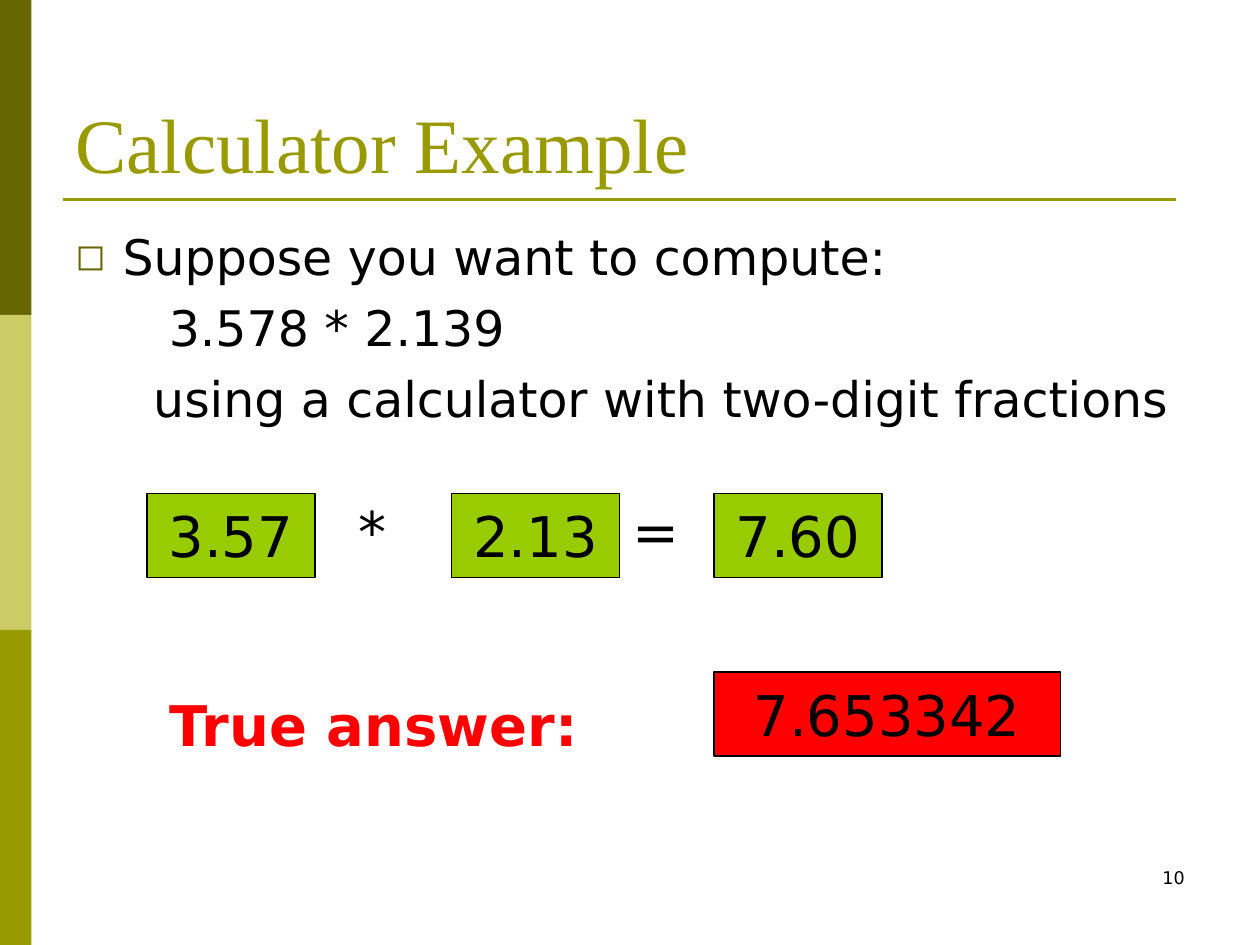
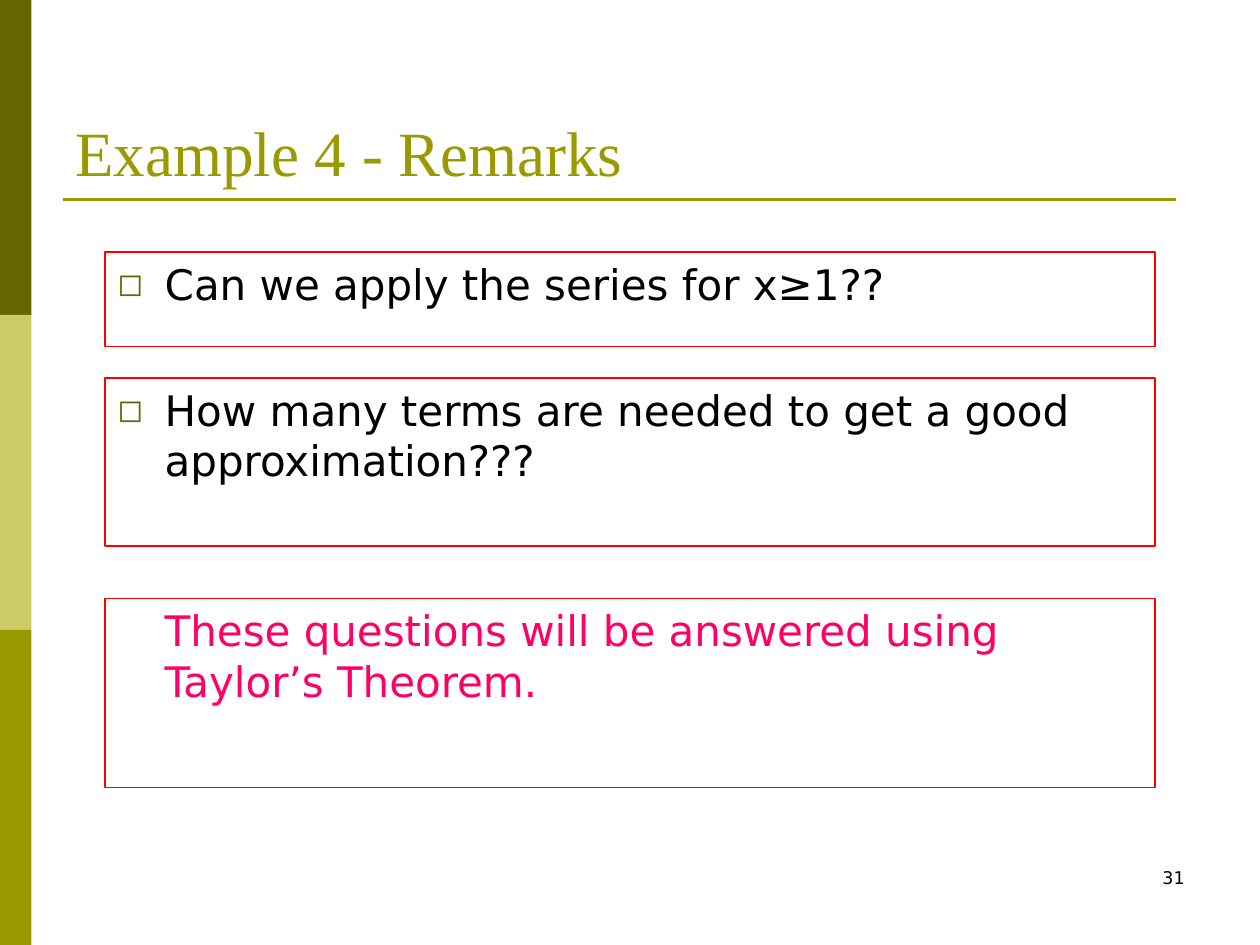
from lxml import etree
from pptx import Presentation
from pptx.dml.color import RGBColor
from pptx.enum.shapes import MSO_CONNECTOR, MSO_SHAPE
from pptx.enum.text import MSO_ANCHOR, PP_ALIGN
from pptx.oxml.ns import qn
from pptx.util import Pt

# Shared constants
RECT, OVAL = MSO_SHAPE.RECTANGLE, MSO_SHAPE.OVAL
LINE = MSO_CONNECTOR.STRAIGHT
TOP, MID, LOW = MSO_ANCHOR.TOP, MSO_ANCHOR.MIDDLE, MSO_ANCHOR.BOTTOM
LEFT, MIDST, RIGHT = PP_ALIGN.LEFT, PP_ALIGN.CENTER, PP_ALIGN.RIGHT

OLIVE, DARK, PALE = "999900", "666600", "CCCC66"
GREEN, RED, PINK, BLACK = "99CC00", "FF0000", "FF0066", "000000"
SANS, SERIF = "DejaVu Sans", "Times New Roman"
HANG = 27


def tint(color, code):
    color.rgb = RGBColor.from_string(code)


# Text
def style(para, size, color=BLACK, font=SANS, bold=False, align=LEFT, gap=0):
    para.alignment = align
    para.space_before = Pt(gap)
    form = {"size": Pt(size), "name": font, "bold": bold}
    for key, value in form.items():
        setattr(para.font, key, value)
    tint(para.font.color, color)


def indent(para, left, bullet):
    props = para._p.get_or_add_pPr()
    props.set("marL", str(Pt(left)))
    props.set("indent", str(-Pt(left) if bullet else 0))
    if bullet:
        hue = etree.SubElement(props, qn("a:buClr"))
        etree.SubElement(hue, qn("a:srgbClr"), val=DARK)
        etree.SubElement(props, qn("a:buSzPct"), val="75000")
        etree.SubElement(props, qn("a:buFont"), typeface=SANS)
        etree.SubElement(props, qn("a:buChar"), char="◻")


def write(shape, rows, anchor=TOP, wrap=True, **form):
    """Each row is (text, left indent, has bullet)."""
    frame = shape.text_frame
    frame.word_wrap = wrap
    frame.vertical_anchor = anchor
    for i, (text, left, bullet) in enumerate(rows):
        para = frame.add_paragraph() if i else frame.paragraphs[0]
        para.text = text
        style(para, **form)
        indent(para, left, bullet)


def label(slide, box, rows, **form):
    write(slide.shapes.add_textbox(*map(Pt, box)), rows, **form)


# Shapes
def block(slide, box, fill=None, line=None, kind=RECT):
    shape = slide.shapes.add_shape(kind, *map(Pt, box))
    shape.shadow.inherit = False
    if fill:
        shape.fill.solid()
        tint(shape.fill.fore_color, fill)
    else:
        shape.fill.background()
    if line:
        tint(shape.line.color, line)
        shape.line.width = Pt(0.75)
    else:
        shape.line.fill.background()
    return shape


def rule(slide, left, right, top):
    line = slide.shapes.add_connector(LINE, Pt(left), Pt(top), Pt(right), Pt(top))
    tint(line.line.color, OLIVE)
    line.line.width = Pt(1.5)
    etree.SubElement(line._element.spPr, qn("a:effectLst"))


def value(slide, box, text, **look):
    shape = block(slide, box, **look)
    write(shape, [(text, 0, False)], anchor=MID, wrap=False, size=32, align=MIDST)


def remark(slide, top, high, text, color=BLACK, bullet=True):
    shape = block(slide, (60, top, 600, high), line=RED)
    write(shape, [(text, HANG, bullet)], size=24, color=color, gap=6)


# Frame common to both slides
def start(deck, title, size, page):
    slide = deck.slides.add_slide(deck.slide_layouts[6])
    for i, color in enumerate((DARK, PALE, OLIVE)):
        block(slide, (0, i * 180, 18, 180), fill=color)
    rule(slide, 36, 672, 114)
    label(slide, (516, 492, 168, 36), [(page, 0, False)], size=10, align=RIGHT)
    label(slide, (36, 21.6, 648, 90), [(title, 0, False)],
          anchor=LOW, size=size, color=OLIVE, font=SERIF)
    return slide


def product(deck):
    slide = start(deck, "Calculator Example", 44, "10")
    label(slide, (36, 126, 648, 144), [
        ("Suppose you want to compute:", HANG, True),
        ("3.578 * 2.139", 53.4, False),
        ("using a calculator with two-digit fractions", 44.5, False),
    ], size=28, gap=7)
    # Rounded product
    for left, text in ((84, "3.57"), (258, "2.13"), (408, "7.60")):
        value(slide, (left, 282, 96, 48), text, fill=GREEN, line=BLACK)
    for left, sign in ((186, "*"), (348, "=")):
        value(slide, (left, 282, 54, 42), sign, kind=OVAL)
    # Exact product
    value(slide, (408, 384, 198, 48), "7.653342", fill=RED, line=BLACK)
    label(slide, (90, 391, 306, 46), [("True answer:", 0, False)],
          size=32, color=RED, bold=True, gap=20)


def remarks(deck):
    slide = start(deck, "Example 4 - Remarks", 36, "31")
    remark(slide, 144, 54, "Can we apply the series for x≥1??")
    remark(slide, 216, 96,
           "How many terms are needed to get a good approximation???")
    remark(slide, 342, 108,
           "These questions will be answered using Taylor’s Theorem.",
           color=PINK, bullet=False)


def main():
    deck = Presentation()
    deck.slide_width, deck.slide_height = Pt(720), Pt(540)
    product(deck)
    remarks(deck)
    deck.save("out.pptx")


if __name__ == "__main__":
    main()
